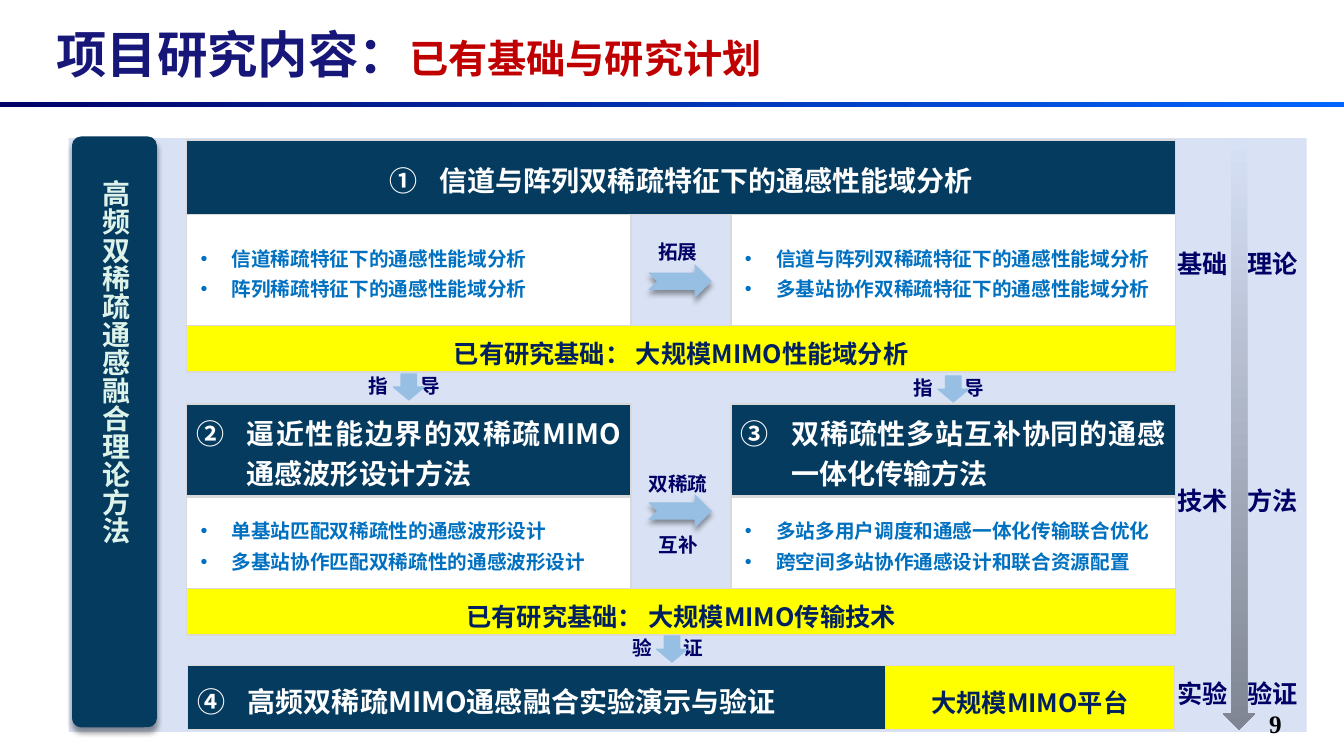
from lxml.etree import SubElement
from pptx import Presentation
from pptx.dml.color import RGBColor
from pptx.enum.shapes import MSO_SHAPE
from pptx.enum.text import MSO_ANCHOR, PP_ALIGN
from pptx.oxml.ns import qn
from pptx.util import Inches, Pt

COLORS = {
    "title": "17177A", "red": "C00000", "label": "000066", "bright": "0066FF",
    "panel": "D9E2F4", "dark": "053B5F", "mint": "DDF3EA", "white": "FFFFFF",
    "border": "D9D9D9", "yellow": "FFFF00", "navy": "002060", "bullet": "0070C0",
    "arrow": "97BFE4", "axis_light": "D7E1F6", "axis_dark": "7F8592", "black": "000000",
}
CJK = "Noto Sans CJK SC"
LEFT_X, RIGHT_X, BOX_W = 1.85, 7.25, 4.41
FULL_W = RIGHT_X + BOX_W - LEFT_X


def color(name):
    return RGBColor.from_string(COLORS[name])


def add_block(slide, box, fill, kind=MSO_SHAPE.RECTANGLE, line=None, line_width=1):
    block = slide.shapes.add_shape(kind, *[Inches(v) for v in box])
    block.shadow.inherit = False
    if isinstance(fill, tuple):
        start, end, angle = fill
        block.fill.gradient()
        block.fill.gradient_angle = angle
        for stop, name in zip(block.fill.gradient_stops, (start, end)):
            stop.color.rgb = color(name)
    else:
        block.fill.solid()
        block.fill.fore_color.rgb = color(fill)
    if line:
        block.line.color.rgb = color(line)
        block.line.width = Pt(line_width)
    else:
        block.line.fill.background()
    return block


def drop_shadow(block):
    effects = block._element.spPr.find(qn("a:effectLst"))
    shadow = SubElement(effects, qn("a:outerShdw"), blurRad=str(Pt(4)),
                        dist=str(Pt(3)), dir="5400000", rotWithShape="0")
    tint = SubElement(shadow, qn("a:srgbClr"), val=COLORS["black"])
    SubElement(tint, qn("a:alpha"), val="40000")


def add_run(paragraph, text, size, ink, font=CJK):
    run = paragraph.add_run()
    run.text = text
    run.font.size, run.font.bold, run.font.name = Pt(size), True, font
    run.font.color.rgb = color(ink)
    SubElement(run._r.get_or_add_rPr(), qn("a:ea"), typeface=CJK)


def write(shape, lines, size, ink, align=PP_ALIGN.LEFT, spacing=None,
          anchor=MSO_ANCHOR.MIDDLE, font=CJK):
    frame = shape.text_frame
    frame.word_wrap = True
    frame.vertical_anchor = anchor
    for i, line in enumerate(lines):
        paragraph = frame.add_paragraph() if i else frame.paragraphs[0]
        paragraph.alignment = align
        if spacing:
            paragraph.line_spacing = spacing
        add_run(paragraph, line, size, ink, font)
    return frame.paragraphs


def add_label(slide, box, lines, size, ink, **style):
    label = slide.shapes.add_textbox(*[Inches(v) for v in box])
    return write(label, lines, size, ink, **style)


def hang(paragraph, margin, indent, tag, **attributes):
    props = paragraph._p.get_or_add_pPr()
    props.set("marL", str(Inches(margin)))
    props.set("indent", str(Inches(-indent)))
    if tag == "a:buChar":
        SubElement(props, qn("a:buFont"), typeface="Arial")
    SubElement(props, qn(tag), **attributes)


def topic_header(slide, box, number, text, align):
    block = add_block(slide, box, "dark", line="border")
    heading = write(block, [text], 20, "white", align, 1.2)[0]
    hang(heading, 0.5, 0.5, "a:buAutoNum", type="circleNumDbPlain", startAt=str(number))


def bullet_box(slide, box, items):
    block = add_block(slide, box, "white", line="border")
    for item in write(block, items, 14, "bullet", spacing=1.3):
        hang(item, 0.35, 0.31, "a:buChar", char="•")


def foundation_bar(slide, box, text):
    block = add_block(slide, box, "yellow", line="border")
    write(block, [text], 18, "navy", PP_ALIGN.CENTER, 1.3)


def split_label(slide, x, y, words, size, step):
    for i, word in enumerate(words):
        add_label(slide, (x + i * step, y, 0.75, 0.34), [word], size, "label",
                  anchor=MSO_ANCHOR.TOP)


def down_step(slide, x, y, words):
    split_label(slide, x, y, words, 14, 0.51)
    add_block(slide, (x + 0.34, y + 0.05, 0.31, 0.26), "arrow", MSO_SHAPE.DOWN_ARROW,
              "arrow", 0.75)


def side_arrow(slide, y):
    drop_shadow(add_block(slide, (6.43, y, 0.63, 0.34), "arrow",
                          MSO_SHAPE.NOTCHED_RIGHT_ARROW))


def title_bar(slide, box):
    x, y, w, h = box
    add_block(slide, (x, y + h - 0.05, w, 0.05), ("label", "bright", 0))
    title = add_label(slide, (x + 0.46, y + 0.24, 9.56, 0.58), ["项目研究内容："], 36,
                      "title", font="Montserrat")
    add_run(title[0], "已有基础与研究计划", 28, "red", "Montserrat")


def theory_pillar(slide, box):
    x, y, w, h = box
    pillar = add_block(slide, box, "dark", MSO_SHAPE.ROUNDED_RECTANGLE, "dark", 2.25)
    pillar.adjustments[0] = 0.09
    drop_shadow(pillar)
    name = slide.shapes.add_textbox(Inches(x + 0.15), Inches(y + 0.32),
                                    Inches(0.62), Inches(5.19))
    write(name, ["高频双稀疏通感融合理论方法"], 20, "mint", PP_ALIGN.JUSTIFY, 1.25)
    name.text_frame._txBody.bodyPr.set("vert", "eaVert")


def analysis_region(slide, box):
    x, y, w, h = box
    topic_header(slide, (x, y, w, 0.74), 1, "信道与阵列双稀疏特征下的通感性能域分析",
                 PP_ALIGN.CENTER)
    bullet_box(slide, (x, y + 0.74, BOX_W, 1.1),
               ["信道稀疏特征下的通感性能域分析", "阵列稀疏特征下的通感性能域分析"])
    bullet_box(slide, (RIGHT_X, y + 0.74, BOX_W, 1.1),
               ["信道与阵列双稀疏特征下的通感性能域分析", "多基站协作双稀疏特征下的通感性能域分析"])
    add_label(slide, (6.43, y + 0.94, 0.7, 0.34), ["拓展"], 14, "label",
              anchor=MSO_ANCHOR.TOP)
    side_arrow(slide, y + 1.23)
    foundation_bar(slide, (x, y + h - 0.46, w, 0.46), "已有研究基础： 大规模MIMO性能域分析")


def method_region(slide, box):
    x, y, w, h = box
    methods = [
        (x, 2, "逼近性能边界的双稀疏MIMO通感波形设计方法",
         ["单基站匹配双稀疏性的通感波形设计", "多基站协作匹配双稀疏性的通感波形设计"]),
        (RIGHT_X, 3, "双稀疏性多站互补协同的通感一体化传输方法",
         ["多站多用户调度和通感一体化传输联合优化", "跨空间多站协作通感设计和联合资源配置"]),
    ]
    for left, number, heading, items in methods:
        bullet_box(slide, (left, y + 0.92, BOX_W, 0.91), items)
        topic_header(slide, (left, y, BOX_W, 0.91), number, heading, PP_ALIGN.JUSTIFY)
    side_arrow(slide, y + 0.89)
    words = add_label(slide, (6.25, y + 0.55, 0.95, 0.99), ["双稀疏", "互补"], 14, "label",
                      align=PP_ALIGN.CENTER, spacing=1.3, anchor=MSO_ANCHOR.TOP)
    words[1].space_before = Pt(22)
    foundation_bar(slide, (x, y + h - 0.46, w, 0.46), "已有研究基础： 大规模MIMO传输技术")


def experiment_region(slide, box):
    x, y, w, h = box
    topic_header(slide, box, 4, "高频双稀疏MIMO通感融合实验演示与验证", PP_ALIGN.LEFT)
    foundation_bar(slide, (x + 6.92, y, w - 6.92, h), "大规模MIMO平台")


def stage_axis(slide, box):
    x, y, w, h = box
    stages = [(2.41, ("基础", "理论")), (4.77, ("技术", "方法")), (6.68, ("实验", "验证"))]
    for top, words in stages:
        split_label(slide, x, top, words, 18, 0.69)
    add_block(slide, (x + 0.55, y, 0.32, h), ("axis_light", "axis_dark", 270),
              MSO_SHAPE.DOWN_ARROW)


def main():
    deck = Presentation()
    deck.slide_width, deck.slide_height = Inches(13.33), Inches(7.5)
    slide = deck.slides.add_slide(deck.slide_layouts[6])

    # Title and background panel
    title_bar(slide, (0, 0, 13.33, 1.06))
    add_block(slide, (0.68, 1.37, 12.28, 5.89), "panel")
    theory_pillar(slide, (0.73, 1.37, 0.81, 5.83))

    # Research topics, top to bottom
    analysis_region(slide, (LEFT_X, 1.39, FULL_W, 2.3))
    method_region(slide, (LEFT_X, 4.01, FULL_W, 2.29))
    experiment_region(slide, (LEFT_X + 0.01, 6.6, FULL_W - 0.02, 0.64))

    # Steps between the topics
    down_step(slide, 3.56, 3.66, ("指", "导"))
    down_step(slide, 8.96, 3.68, ("指", "导"))
    down_step(slide, 6.17, 6.26, ("验", "证"))

    # Stages on the right and page number
    stage_axis(slide, (11.58, 1.37, 1.52, 5.87))
    add_label(slide, (12.49, 6.98, 0.73, 0.39), ["9"], 18, "black",
              anchor=MSO_ANCHOR.TOP, font="Times New Roman")
    deck.save("out.pptx")


if __name__ == "__main__":
    main()
